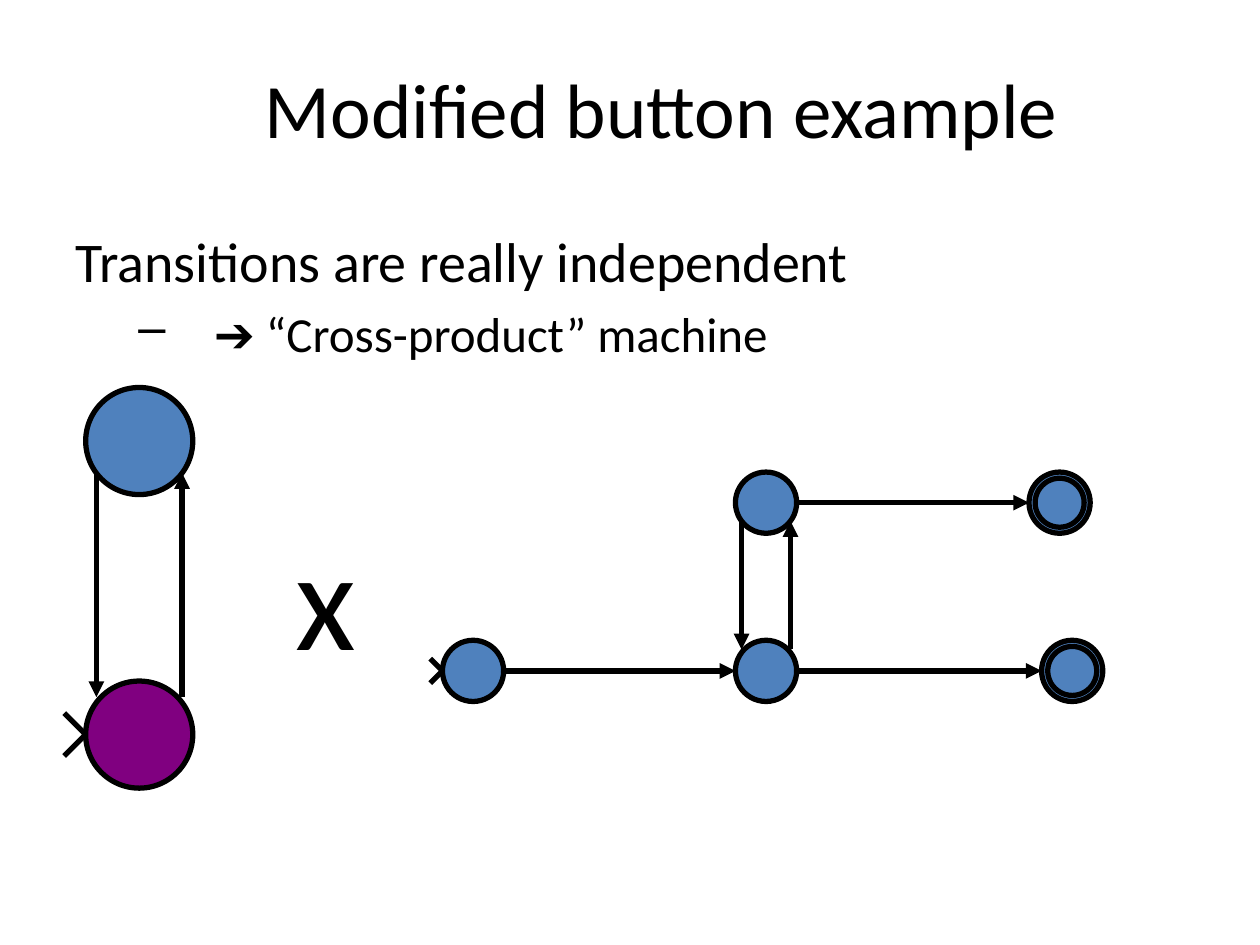
from dataclasses import dataclass

from lxml import etree
from pptx import Presentation
from pptx.dml.color import RGBColor
from pptx.enum.shapes import MSO_CONNECTOR, MSO_SHAPE
from pptx.enum.text import MSO_ANCHOR, PP_ALIGN
from pptx.oxml.ns import qn
from pptx.util import Inches, Pt

STRAIGHT = MSO_CONNECTOR.STRAIGHT
OVAL = MSO_SHAPE.OVAL
MIDDLE = MSO_ANCHOR.MIDDLE
CENTER = PP_ALIGN.CENTER

BLACK = RGBColor(0, 0, 0)
BLUE = RGBColor(0x4F, 0x81, 0xBD)
PURPLE = RGBColor(0x80, 0, 0x80)

TITLE_ONLY = 5
COLUMNS, ROWS = 100, 75


@dataclass
class State:
    x: float
    y: float
    radius: float


class Diagram:
    """Draws on one slide; lengths are columns and rows of a 100 by 75 grid."""

    font_name = "Calibri"
    line_width = Pt(3)

    def __init__(self, deck):
        self.slide = deck.slides.add_slide(deck.slide_layouts[TITLE_ONLY])
        self.shapes = self.slide.shapes
        self.column = deck.slide_width // COLUMNS
        self.row = deck.slide_height // ROWS

    def place(self, x, y):
        return round(x * self.column), round(y * self.row)

    def add_run(self, para, text, size):
        span = para.add_run()
        span.text = text
        span.font.name = self.font_name
        span.font.size = Pt(size)
        span.font.color.rgb = BLACK

    def style_line(self, line):
        line.color.rgb = BLACK
        line.width = self.line_width

    def title(self, text, x, y, width, height):
        box = self.shapes.title
        box.left, box.top = self.place(x, y)
        box.width, box.height = self.place(width, height)
        box.text_frame.vertical_anchor = MIDDLE
        para = box.text_frame.paragraphs[0]
        para.alignment = CENTER
        para.line_spacing = 0.8
        self.add_run(para, text, 44)

    def text(self, text, size, x, y, width, height):
        box = self.shapes.add_textbox(*self.place(x, y), *self.place(width, height))
        box.text_frame.word_wrap = True
        self.add_run(box.text_frame.paragraphs[0], text, size)
        return box.text_frame

    def bullet(self, frame, text, size):
        para = frame.add_paragraph()
        para.level = 1
        para.space_before = Pt(0.2 * size)
        properties = para._p.get_or_add_pPr()
        properties.set("marL", str(Inches(1.1)))
        properties.set("indent", str(Inches(-0.6)))
        etree.SubElement(properties, qn("a:buChar")).set("char", "–")
        self.add_run(para, text, size)

    def circle(self, state, fill=BLUE, share=1):
        radius = state.radius * share
        oval = self.shapes.add_shape(
            OVAL,
            *self.place(state.x - radius, state.y - radius),
            *self.place(2 * radius, 2 * radius),
        )
        oval.shadow.inherit = False
        oval.fill.solid()
        oval.fill.fore_color.rgb = fill
        self.style_line(oval.line)

    def final_circle(self, state):
        self.circle(state)
        self.circle(state, share=0.8)

    def arrow(self, start, end):
        connector = self.shapes.add_connector(
            STRAIGHT, *self.place(*start), *self.place(*end)
        )
        self.style_line(connector.line)
        etree.SubElement(connector.line._get_or_add_ln(), qn("a:tailEnd")).set(
            "type", "triangle"
        )
        etree.SubElement(connector._element.spPr, qn("a:effectLst"))

    def step(self, source, target):
        self.arrow(
            (source.x + source.radius, source.y),
            (target.x - target.radius, target.y),
        )

    def toggle(self, upper, lower):
        """Join two stacked states by a downward and an upward arrow."""
        offset = 0.8 * upper.radius
        top = upper.y + 0.6 * upper.radius
        bottom = lower.y - 0.7 * lower.radius
        left, right = upper.x - offset, upper.x + offset
        self.arrow((left, top), (left, bottom))
        self.arrow((right, bottom), (right, top))

    def start_mark(self, state):
        """Draw the open wedge that marks a start state."""
        size = 0.4 * state.radius
        tip = state.x - state.radius
        builder = self.shapes.build_freeform(*self.place(tip - size, state.y - size))
        builder.add_line_segments(
            [self.place(tip, state.y), self.place(tip - size, state.y + size)],
            close=False,
        )
        wedge = builder.convert_to_shape()
        wedge.shadow.inherit = False
        wedge.fill.background()
        self.style_line(wedge.line)


def main():
    deck = Presentation()
    deck.slide_width, deck.slide_height = Inches(10), Inches(7.5)
    diagram = Diagram(deck)

    diagram.title("Modified button example", 5, 3, 95, 12.5)
    body = diagram.text("Transitions are really independent", 32, 5, 17.5, 95, 55)
    diagram.bullet(body, "➔ “Cross-product” machine", 28)

    # Two-state machine on the left
    blue_state = State(11.05, 35, 4.25)
    purple_state = State(11.05, 58.3, 4.25)
    diagram.start_mark(purple_state)
    diagram.circle(blue_state)
    diagram.toggle(blue_state, purple_state)
    diagram.circle(purple_state, PURPLE)

    diagram.text("x", 80, 22.5, 40, 7.5, 14.3)

    # Button machine on the right
    upper_row, lower_row, radius = 39.9, 53.25, 2.43
    start = State(37.55, lower_row, radius)
    inside = State(60.8, lower_row, radius)
    outside = State(60.8, upper_row, radius)
    cancelled = State(84.1, upper_row, radius)
    pressed = State(85.1, lower_row, radius)
    diagram.start_mark(start)
    for state in (start, inside, outside):
        diagram.circle(state)
    for state in (cancelled, pressed):
        diagram.final_circle(state)
    for source, target in ((start, inside), (inside, pressed), (outside, cancelled)):
        diagram.step(source, target)
    diagram.toggle(outside, inside)

    deck.save("out.pptx")


if __name__ == "__main__":
    main()
